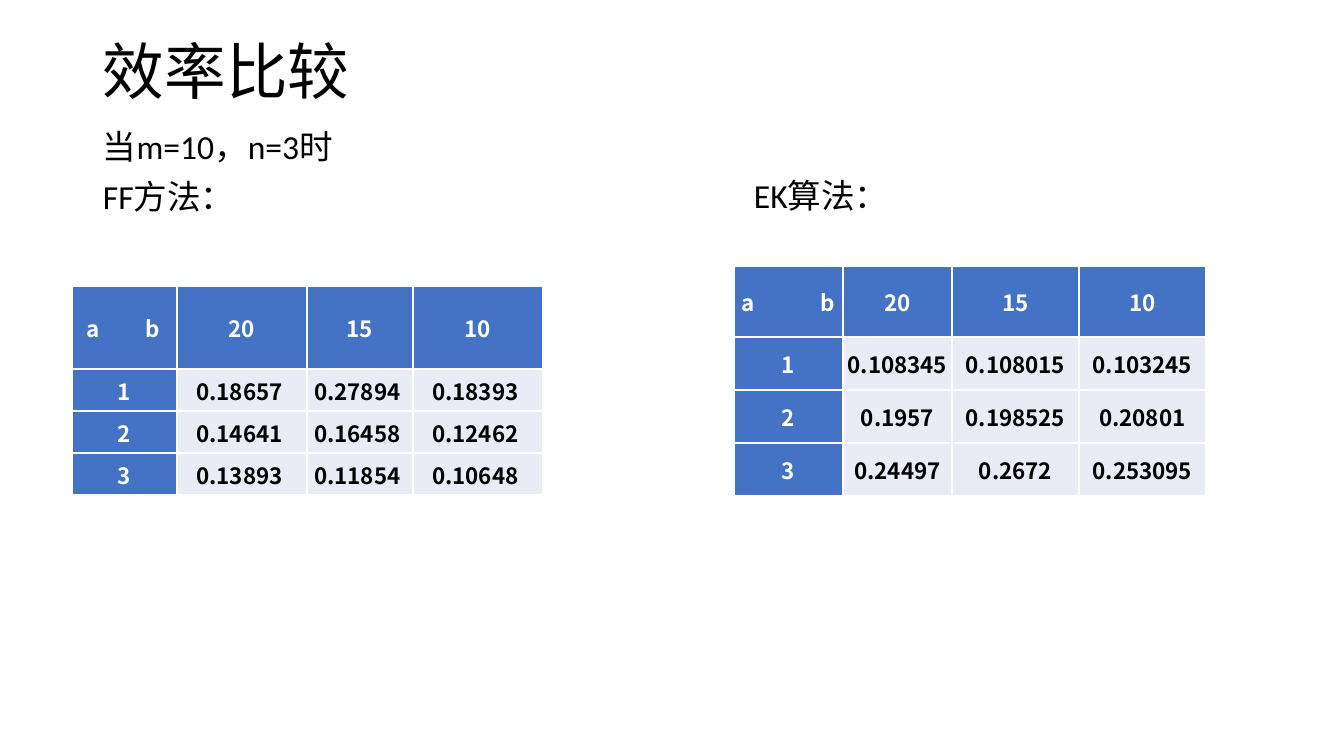
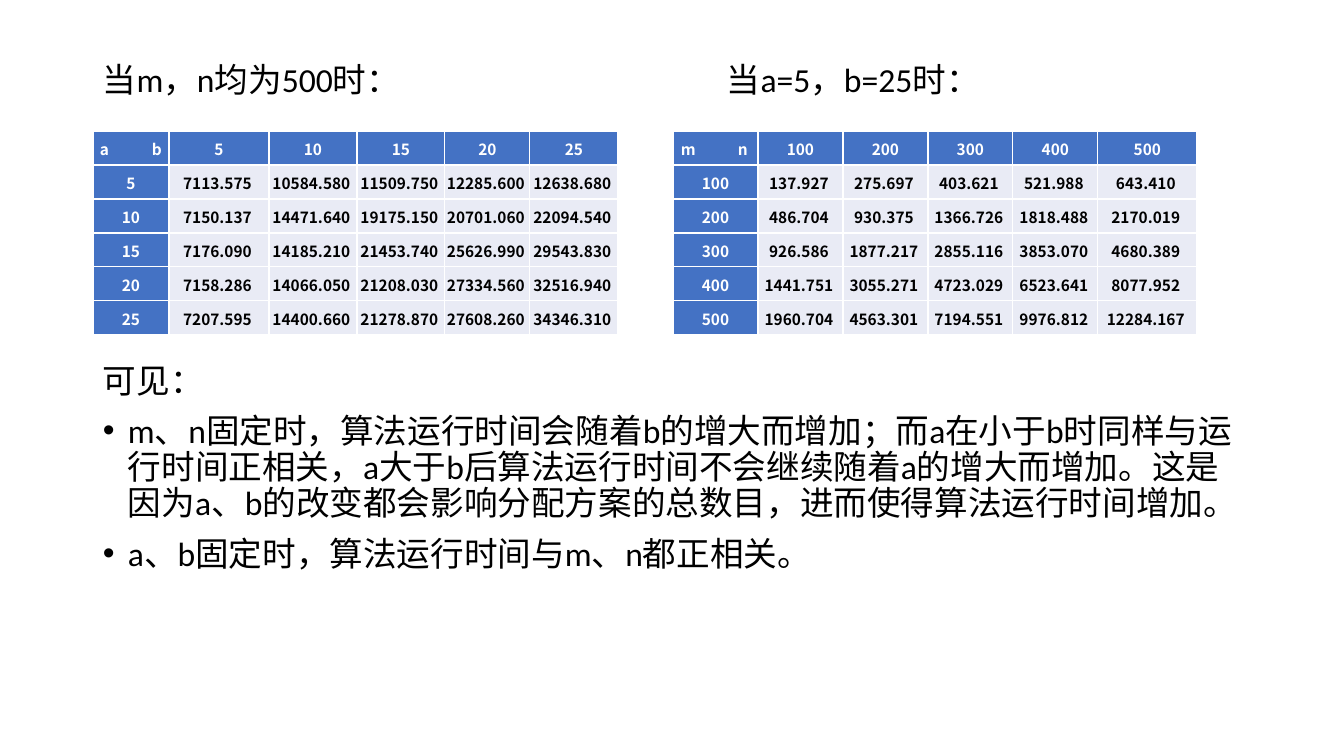
from lxml import etree
from pptx import Presentation
from pptx.dml.color import RGBColor
from pptx.enum import lang, text
from pptx.oxml import ns
from pptx.util import Emu, Pt

PX = 914400 / 100.8


class Theme:
    ink, paper = "000000", "FFFFFF"
    head, cell = "4472C4", "E9EBF5"
    latin, cjk = "Calibri", "Noto Sans CJK SC"
    title, body, big, small = 44, 24, 16, 11
    left, wide, indent, edge = 93, 1159, 25, 1


# Notes: left, top, width, lines; a line starting with "•" is a bullet.
# Tables: corner is the two letters, inset of the first, distance to the second;
# shift is extra right inset of the values.
SLIDES = [
    dict(
        title="效率比较",
        notes=[
            (Theme.left, 125, 600, ["当m=10，n=3时", "FF方法："]),
            (744, 174, 400, ["EK算法："]),
        ],
        tables=[
            dict(at=(72, 286), cols=[105, 130, 106, 130], rows=[83, 42, 42, 42],
                 size=Theme.big, corner=("a", "b", 15, 59), shift=5,
                 head="20 15 10", data="""
                 1 0.18657 0.27894 0.18393
                 2 0.14641 0.16458 0.12462
                 3 0.13893 0.11854 0.10648"""),
            dict(at=(734, 266), cols=[109, 109, 127, 127], rows=[71, 53, 53, 53],
                 size=Theme.big, corner=("a", "b", 8, 79), shift=0,
                 head="20 15 10", data="""
                 1 0.108345 0.108015 0.103245
                 2 0.1957 0.198525 0.20801
                 3 0.24497 0.2672 0.253095"""),
        ],
    ),
    dict(
        title=None,
        notes=[
            (Theme.left, 58, 600, ["当m，n均为500时："]),
            (717, 58, 500, ["当a=5，b=25时："]),
            (Theme.left, 359, Theme.wide, [
                "可见：",
                "•m、n固定时，算法运行时间会随着b的增大而增加；而a在小于b时同样"
                "与运行时间正相关，a大于b后算法运行时间不会继续随着a的增大而增加。"
                "这是因为a、b的改变都会影响分配方案的总数目，进而使得算法运行时间增加。",
                "•a、b固定时，算法运行时间与m、n都正相关。",
            ]),
        ],
        tables=[
            dict(at=(93, 131), cols=[76, 100, 88, 88, 85, 88], rows=[34] * 6,
                 size=Theme.small, corner=("a", "b", 7, 52), shift=3,
                 head="5 10 15 20 25", data="""
                 5 7113.575 10584.580 11509.750 12285.600 12638.680
                 10 7150.137 14471.640 19175.150 20701.060 22094.540
                 15 7176.090 14185.210 21453.740 25626.990 29543.830
                 20 7158.286 14066.050 21208.030 27334.560 32516.940
                 25 7207.595 14400.660 21278.870 27608.260 34346.310"""),
            dict(at=(673, 131), cols=[85] * 5 + [99], rows=[34] * 6,
                 size=Theme.small, corner=("m", "n", 8, 57), shift=3,
                 head="100 200 300 400 500", data="""
                 100 137.927 275.697 403.621 521.988 643.410
                 200 486.704 930.375 1366.726 1818.488 2170.019
                 300 926.586 1877.217 2855.116 3853.070 4680.389
                 400 1441.751 3055.271 4723.029 6523.641 8077.952
                 500 1960.704 4563.301 7194.551 9976.812 12284.167"""),
        ],
    ),
]


def px(n):
    return Emu(round(n * PX))


def add(parent, tag, **attrs):
    node = etree.SubElement(parent, ns.qn(tag))
    for key, val in attrs.items():
        node.set(key, str(val))
    return node


def write(par, words, size=Theme.body, face=Theme.latin, color=Theme.ink,
          bold=False, align=text.PP_ALIGN.LEFT, lead=None, gap=0, tab=None):
    """Fill one paragraph; a leading "•" becomes a real bullet."""
    props = par._p.get_or_add_pPr()
    if words.startswith("•"):
        words = words[1:]
        props.set("marL", str(px(Theme.indent)))
        props.set("indent", str(-px(Theme.indent)))
        add(props, "a:buFont", typeface="Arial")
        add(props, "a:buChar", char="•")
    if tab:
        add(add(props, "a:tabLst"), "a:tab", pos=px(tab), algn="l")
    par.alignment = align
    if lead:
        par.line_spacing = lead
    if gap:
        par.space_before = Pt(gap)
    run = par.add_run()
    run.text = words
    font = run.font
    font.size, font.bold, font.name = Pt(size), bold, face
    font.color.rgb = RGBColor.from_string(color)
    font.language_id = lang.MSO_LANGUAGE_ID.SIMPLIFIED_CHINESE
    add(run._r.get_or_add_rPr(), "a:ea", typeface=face)


def note(slide, left, top, wide, lines, high=46, **fmt):
    frame = slide.shapes.add_textbox(px(left), px(top), px(wide), px(high)).text_frame
    frame.word_wrap = True
    frame.vertical_anchor = text.MSO_ANCHOR.TOP
    for i, line in enumerate(lines):
        par = frame.add_paragraph() if i else frame.paragraphs[0]
        write(par, line, lead=0.9, gap=10 if i else 0, **fmt)


def border(cell):
    props = cell._tc.get_or_add_tcPr()
    for side in "LRTB":
        line = add(props, f"a:ln{side}", w=Pt(1))
        add(add(line, "a:solidFill"), "a:srgbClr", val=Theme.paper)


def grid(slide, at, cols, rows, size, corner, shift, head, data):
    table = slide.shapes.add_table(
        len(rows), len(cols), px(at[0]), px(at[1]), px(sum(cols)), px(sum(rows))).table
    table.horz_banding = False
    for col, wide in zip(table.columns, cols):
        col.width = px(wide)
    for row, high in zip(table.rows, rows):
        row.height = px(high)
    first, second, inset, step = corner
    lines = [[f"{first}\t{second}"] + head.split()]
    lines += [line.split() for line in data.strip().splitlines()]
    for r, line in enumerate(lines):
        for c, words in enumerate(line):
            cell = table.cell(r, c)
            label, start = r == 0 or c == 0, r == c == 0
            border(cell)
            cell.fill.solid()
            cell.fill.fore_color.rgb = RGBColor.from_string(
                Theme.head if label else Theme.cell)
            cell.vertical_anchor = text.MSO_ANCHOR.MIDDLE
            cell.margin_left = px(inset if start else Theme.edge)
            cell.margin_right = px(Theme.edge + (0 if label else shift))
            cell.margin_top, cell.margin_bottom = px(Theme.edge), 0
            write(cell.text_frame.paragraphs[0], words, size=size, face=Theme.cjk,
                  color=Theme.paper if label else Theme.ink, bold=True,
                  align=text.PP_ALIGN.LEFT if start else text.PP_ALIGN.CENTER,
                  tab=step if start else None)


def main():
    deck = Presentation()
    deck.slide_width, deck.slide_height = px(1344), px(756)
    for page in SLIDES:
        slide = deck.slides.add_slide(deck.slide_layouts[6])
        if page["title"]:
            note(slide, Theme.left, 36, Theme.wide, [page["title"]], high=90,
                 size=Theme.title, face=Theme.cjk)
        for part in page["notes"]:
            note(slide, *part)
        for part in page["tables"]:
            grid(slide, **part)
    deck.save("out.pptx")


if __name__ == "__main__":
    main()
